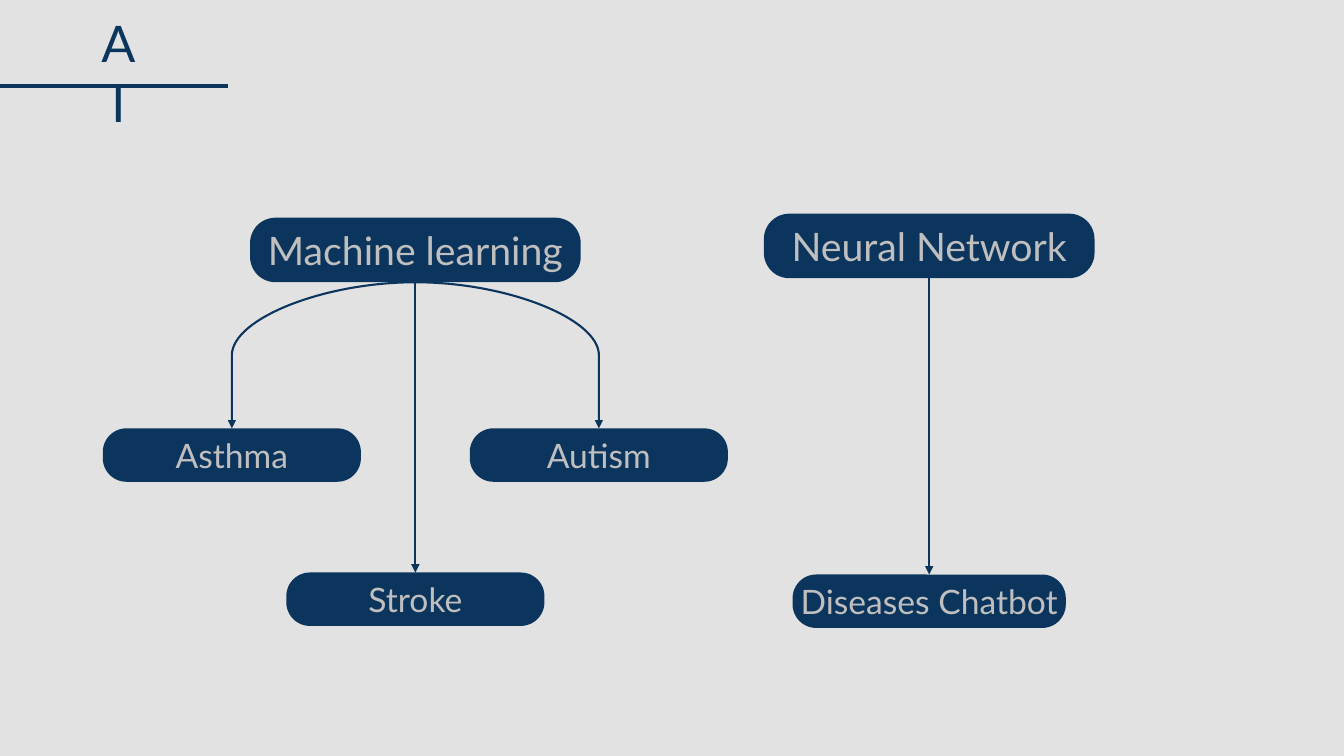
from lxml import etree
from pptx import Presentation, util as u
from pptx.dml.color import RGBColor
from pptx.enum import shapes, text
from pptx.oxml.ns import qn

NAVY, GREY, PALE = "0C355D", "BFBFBF", "E2E2E2"
FIRST_COL, COL_STEP = 4.12, 1.82
HEAD = {"height": 0.64, "size": 28, "corner": 0.393}
LEAF = {"height": 0.53, "size": 24, "corner": 0.441}


def rgb(value):
    return RGBColor.from_string(value)


def column(n):
    """Centre of column n, counted from the machine learning column."""
    return u.Inches(FIRST_COL + n * COL_STEP)


def write(tf, words, size, color, **frame):
    for name, value in frame.items():
        setattr(tf, name, value)
    p = tf.paragraphs[0]
    p.alignment = text.PP_ALIGN.CENTER
    r = p.add_run()
    r.text = words
    for name, value in {"name": "Lato", "size": u.Pt(size), "bold": False}.items():
        setattr(r.font, name, value)
    r.font.color.rgb = rgb(color)


def add_title(s, words):
    sp = s.shapes.title
    place = {"left": 0.85, "top": 0.07, "width": 0.65, "height": 0.71}
    for name, value in place.items():
        setattr(sp, name, u.Inches(value))
    write(sp.text_frame, words, 36, NAVY, word_wrap=True,
          auto_size=text.MSO_AUTO_SIZE.NONE, vertical_anchor=text.MSO_ANCHOR.TOP)


def add_box(s, words, col, top, width, style):
    w = u.Inches(width)
    sp = s.shapes.add_shape(shapes.MSO_SHAPE.ROUNDED_RECTANGLE, column(col) - w // 2,
                            u.Inches(top), w, u.Inches(style["height"]))
    sp.adjustments[0] = style["corner"]
    sp.shadow.inherit = False
    sp.fill.solid()
    sp.fill.fore_color.rgb = rgb(NAVY)
    sp.line.fill.background()
    write(sp.text_frame, words, style["size"], GREY, word_wrap=False,
          margin_left=0, margin_right=0, margin_top=0, margin_bottom=0,
          vertical_anchor=text.MSO_ANCHOR.MIDDLE)
    return sp


def add_line(s, start, end, width, kind=shapes.MSO_CONNECTOR.STRAIGHT):
    line = s.shapes.add_connector(kind, *start, *end)
    line.line.color.rgb = rgb(NAVY)
    line.line.width = u.Pt(width)
    etree.SubElement(line._element.spPr, qn("a:effectLst"))
    return line


def add_arrow(s, parent, child):
    """Arrow from the foot of parent to the top of child, curved if they are not in line."""
    start = parent.left + parent.width // 2, parent.top + parent.height
    end = child.left + child.width // 2, child.top
    straight = abs(start[0] - end[0]) < u.Inches(0.01)
    kind = shapes.MSO_CONNECTOR.STRAIGHT if straight else shapes.MSO_CONNECTOR.CURVE
    arrow = add_line(s, start, end, 1.5, kind)
    etree.SubElement(arrow.line._get_or_add_ln(), qn("a:tailEnd"), type="triangle")
    if straight:
        arrow.begin_connect(parent, 2)
        arrow.end_connect(child, 0)
    else:
        guides = arrow._element.spPr.find(qn("a:prstGeom")).get_or_add_avLst()
        etree.SubElement(guides, qn("a:gd"), name="adj1", fmla="val 100000")


def add_tree(s, root, leaves):
    parent = add_box(s, *root, 3.28, HEAD)
    for leaf in leaves:
        add_arrow(s, parent, add_box(s, *leaf, LEAF))


def main():
    prs = Presentation()
    prs.slide_width, prs.slide_height = u.Inches(13.33), u.Inches(7.5)
    s = prs.slides.add_slide(prs.slide_layouts[5])
    s.background.fill.solid()
    s.background.fill.fore_color.rgb = rgb(PALE)

    add_title(s, "AI")
    rule_y = u.Inches(0.85)
    add_line(s, (0, rule_y), (u.Inches(2.26), rule_y), 3)
    add_tree(s, ("Neural Network", 2.8, 2.12), [("Diseases Chatbot", 2.8, 5.7, 2.71)])
    add_tree(s, ("Machine learning", 0, 2.16),
             [("Stroke", 0, 5.68, 2.56),
              ("Autism", 1, 4.25, 2.56),
              ("Asthma", -1, 4.25, 2.56)])
    prs.save("out.pptx")


if __name__ == "__main__":
    main()
